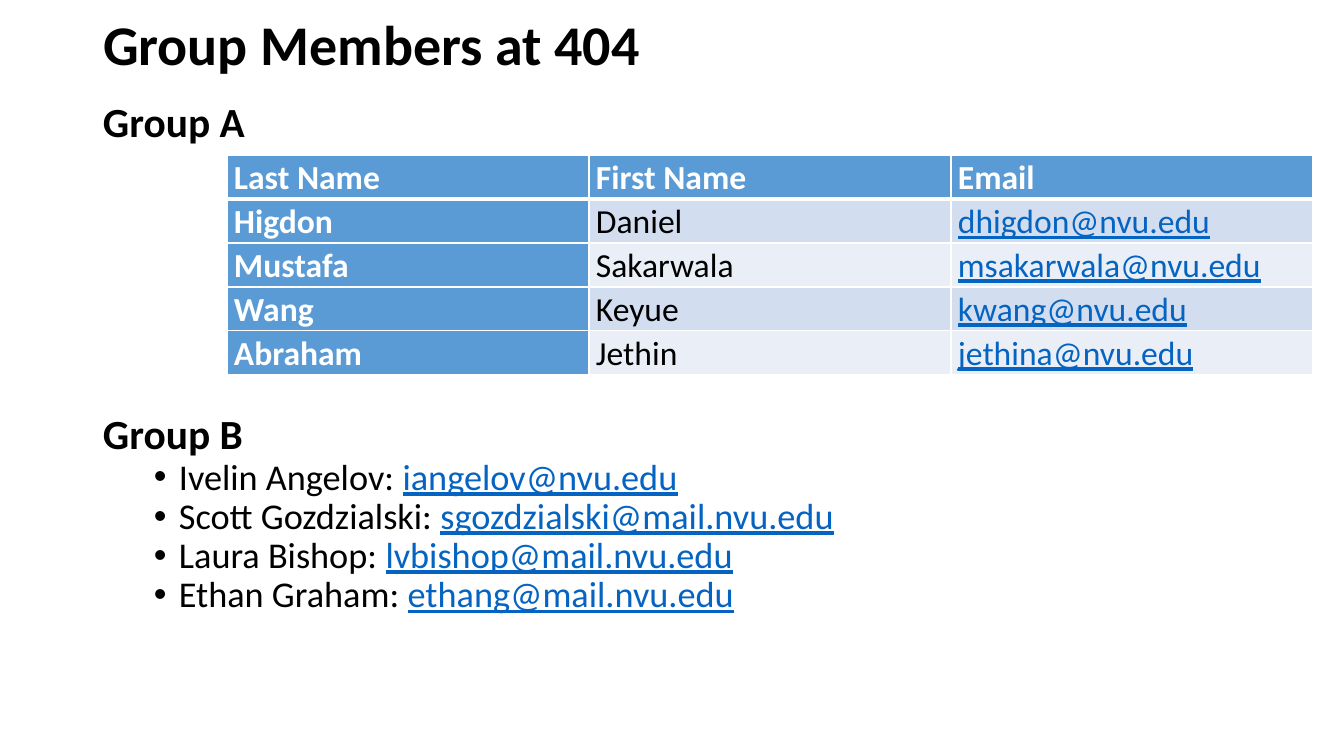
from lxml.etree import SubElement
from pptx import Presentation
from pptx.dml.color import RGBColor
from pptx.enum.text import MSO_ANCHOR as ANCHOR, MSO_AUTO_SIZE as AUTO, PP_ALIGN as ALIGN
from pptx.oxml.ns import qn
from pptx.util import Pt

TITLE = "Group Members at 404"
HEADER = ("Last Name", "First Name", "Email")
GROUP_A = [
    ("Higdon", "Daniel", "dhigdon@nvu.edu"),
    ("Mustafa", "Sakarwala", "msakarwala@nvu.edu"),
    ("Wang", "Keyue", "kwang@nvu.edu"),
    ("Abraham", "Jethin", "jethina@nvu.edu"),
]
GROUP_B = [
    ("Ivelin Angelov", "iangelov@nvu.edu"),
    ("Scott Gozdzialski", "sgozdzialski@mail.nvu.edu"),
    ("Laura Bishop", "lvbishop@mail.nvu.edu"),
    ("Ethan Graham", "ethang@mail.nvu.edu"),
]
COLORS = {"text": "000000", "white": "FFFFFF", "link": "0563C1",
          "accent": "5B9BD5", "odd": "D2DEEF", "even": "EAEFF7"}
FONT = "Calibri"
HEADING, BULLET, CELL = 29.6, 25.9, 24
COL_W, ROW_H = 362, 44
TABLE_GAP = 191


def px(n):
    """Turn whole pixels into EMU."""
    return round(n * 914400 / 100.8)


def add_text(p, text, size, color="text", bold=False, underline=False, spacing=0.9):
    """Append a formatted run to a paragraph."""
    p.alignment, p.line_spacing = ALIGN.LEFT, spacing
    p.space_before = p.space_before or Pt(0)
    r = p.add_run()
    r.text = text
    f = r.font
    f.name, f.size, f.bold, f.underline = FONT, Pt(size), bold, underline
    f.color.rgb = RGBColor.from_string(COLORS[color])


def add_bullet(p):
    """Give a paragraph a hanging bullet."""
    pPr = p._p.get_or_add_pPr()
    pPr.set("marL", str(px(76)))
    pPr.set("indent", str(-px(25)))
    SubElement(pPr, qn("a:buFont")).set("typeface", "Arial")
    SubElement(pPr, qn("a:buChar")).set("char", "•")


def add_borders(cell, header):
    """Draw white cell borders, thicker below the header and above the first row."""
    tcPr = cell._tc.get_or_add_tcPr()
    for i, (side, width) in enumerate(zip(("lnL", "lnR", "lnT", "lnB"),
                                          (1, 1, 1, 3 if header else 1))):
        ln = tcPr.makeelement(qn(f"a:{side}"), {"w": str(Pt(width))})
        fill = SubElement(ln, qn("a:solidFill"))
        SubElement(fill, qn("a:srgbClr")).set("val", COLORS["white"])
        tcPr.insert(i, ln)


def fill_cell(cell, text, row, col):
    """Fill and format one table cell."""
    accent = row == 0 or col == 0
    fill = "accent" if accent else "odd" if row % 2 else "even"
    link = row > 0 and col == 2
    cell.fill.solid()
    cell.fill.fore_color.rgb = RGBColor.from_string(COLORS[fill])
    cell.margin_left = cell.margin_right = px(7)
    cell.margin_top = cell.margin_bottom = 0
    add_text(cell.text_frame.paragraphs[0], text, CELL, bold=accent, underline=link,
             color="white" if accent else "link" if link else "text", spacing=1.07)
    add_borders(cell, row == 0)


prs = Presentation()
prs.slide_width, prs.slide_height = px(1344), px(756)
s = prs.slides.add_slide(prs.slide_layouts[5])

title = s.shapes.title
title.left, title.top, title.width, title.height = map(px, (93, 14, 1159, 66))
tf = title.text_frame
tf.auto_size, tf.vertical_anchor = AUTO.NONE, ANCHOR.MIDDLE
add_text(tf.paragraphs[0], TITLE, 40, bold=True)

tf = s.shapes.add_textbox(*map(px, (93, 97, 1159, 585))).text_frame
tf.word_wrap = True
add_text(tf.paragraphs[0], "Group A", HEADING, bold=True)
p = tf.add_paragraph()
p.space_before = Pt(TABLE_GAP)
add_text(p, "Group B", HEADING, bold=True)
for name, email in GROUP_B:
    p = tf.add_paragraph()
    add_text(p, f"{name}: ", BULLET)
    add_text(p, email, BULLET, color="link", underline=True)
    add_bullet(p)

rows = [HEADER, *GROUP_A]
size = COL_W * len(HEADER), ROW_H * len(rows)
table = s.shapes.add_table(len(rows), len(HEADER), *map(px, (227, 155, *size))).table
for i, row in enumerate(rows):
    table.rows[i].height = px(ROW_H)
    for j, text in enumerate(row):
        fill_cell(table.cell(i, j), text, i, j)

prs.save("out.pptx")
